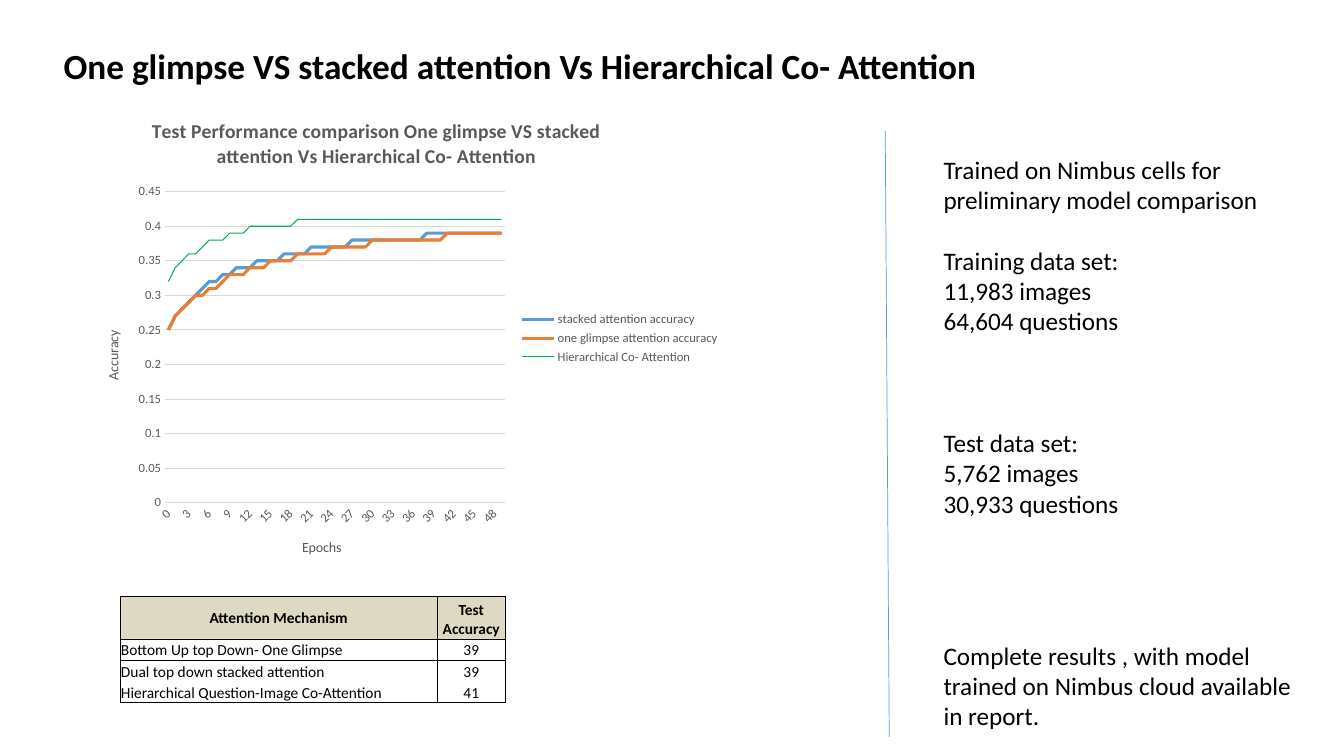
from dataclasses import dataclass

from lxml import etree
from pptx import Presentation
from pptx.chart.data import CategoryChartData
from pptx.dml.color import RGBColor
from pptx.enum.chart import XL_CHART_TYPE, XL_LEGEND_POSITION, XL_TICK_MARK
from pptx.enum.shapes import MSO_CONNECTOR
from pptx.enum.text import MSO_ANCHOR, PP_ALIGN
from pptx.oxml import parse_xml
from pptx.oxml.ns import nsdecls, qn
from pptx.util import Inches, Pt

LINE_CHART = XL_CHART_TYPE.LINE
LEGEND_RIGHT = XL_LEGEND_POSITION.RIGHT
NO_TICK = XL_TICK_MARK.NONE
STRAIGHT = MSO_CONNECTOR.STRAIGHT
BOTTOM, MIDDLE = MSO_ANCHOR.BOTTOM, MSO_ANCHOR.MIDDLE
LEFT, CENTER = PP_ALIGN.LEFT, PP_ALIGN.CENTER

FONT = "Calibri"
BLACK = RGBColor(0x00, 0x00, 0x00)
GRAY = RGBColor(0x59, 0x59, 0x59)
GRID = RGBColor(0xD9, 0xD9, 0xD9)
BLUE = RGBColor(0x5B, 0x9B, 0xD5)
ORANGE = RGBColor(0xED, 0x7D, 0x31)
GREEN = RGBColor(0x00, 0xB0, 0x50)
BEIGE = RGBColor(0xDD, 0xD9, 0xC3)
NO_TABLE_STYLE = "{2D5ABB26-0587-4C30-8999-92F81FD0307C}"
BLANK_LINE = 21.8


@dataclass
class AccuracyCurve:
    name: str
    color: RGBColor
    width: float
    runs: list[tuple[float, int]]

    def values(self) -> list[float]:
        return [value for value, epochs in self.runs for _ in range(epochs)]


@dataclass
class Note:
    text: str
    blank_lines_before: int = 0


CURVES = [
    AccuracyCurve("stacked attention accuracy", BLUE, 2.25, [
        (0.25, 1), (0.27, 1), (0.28, 1), (0.29, 1), (0.3, 1), (0.31, 1), (0.32, 2), (0.33, 2),
        (0.34, 3), (0.35, 4), (0.36, 4), (0.37, 6), (0.38, 11), (0.39, 12)]),
    AccuracyCurve("one glimpse attention accuracy", ORANGE, 2.25, [
        (0.25, 1), (0.27, 1), (0.28, 1), (0.29, 1), (0.3, 2), (0.31, 2), (0.32, 1), (0.33, 3),
        (0.34, 3), (0.35, 4), (0.36, 5), (0.37, 6), (0.38, 11), (0.39, 9)]),
    AccuracyCurve("Hierarchical Co- Attention", GREEN, 0.75, [
        (0.32, 1), (0.34, 1), (0.35, 1), (0.36, 2), (0.37, 1), (0.38, 3), (0.39, 3),
        (0.4, 7), (0.41, 31)]),
]
NOTES = [
    Note("Trained on Nimbus cells for preliminary model comparison"),
    Note("Training data set:", 1),
    Note("11,983 images"),
    Note("64,604 questions"),
    Note("Test data set:", 3),
    Note("5,762 images"),
    Note("30,933 questions"),
    Note("Complete results , with model trained on Nimbus cloud available in report.", 4),
]
RESULTS = [
    ("Bottom Up top Down- One Glimpse", "39"),
    ("Dual top down stacked attention", "39"),
    ("Hierarchical Question-Image Co-Attention", "41"),
]
TABLE_COLUMNS = [0.32, 3.15, 0.67, 0.22]
TABLE_ROWS = 7
ROW_HEIGHT = 0.21
FIRST_RESULT_ROW = 3


def style_font(font, size: float, color: RGBColor, bold: bool = False) -> None:
    font.name, font.size, font.bold = FONT, Pt(size), bold
    font.color.rgb = color


def add_heading(slide) -> None:
    heading = slide.shapes.title
    heading.left, heading.top = Inches(0.53), Inches(0.38)
    heading.width, heading.height = Inches(11.47), Inches(0.53)
    heading.text_frame.text = "One glimpse VS stacked attention Vs Hierarchical Co- Attention"
    heading.text_frame.vertical_anchor = BOTTOM
    paragraph = heading.text_frame.paragraphs[0]
    paragraph.alignment, paragraph.line_spacing = LEFT, 0.9
    style_font(paragraph.runs[0].font, 25.2, BLACK, True)


def add_divider(slide) -> None:
    divider = slide.shapes.add_connector(
        STRAIGHT, Inches(8.78), Inches(1.3), Inches(8.82), Inches(7.31))
    divider.line.color.rgb, divider.line.width = BLUE, Pt(0.5)
    etree.SubElement(divider._element.spPr, qn("a:effectLst"))


def add_notes_column(slide) -> None:
    column = slide.shapes.add_textbox(Inches(9.26), Inches(1.48), Inches(3.74), Inches(5.86))
    frame = column.text_frame
    frame.word_wrap = True
    frame.text = "\n".join(note.text for note in NOTES)
    for paragraph, note in zip(frame.paragraphs, NOTES):
        paragraph.space_before = Pt(note.blank_lines_before * BLANK_LINE)
        style_font(paragraph.runs[0].font, 18, BLACK)


def style_axis(axis, title: str) -> None:
    axis.major_tick_mark = axis.minor_tick_mark = NO_TICK
    style_font(axis.tick_labels.font, 9, GRAY)
    axis.axis_title.text_frame.text = title
    style_font(axis.axis_title.text_frame.paragraphs[0].runs[0].font, 10, GRAY)


def add_chart_title(chart) -> None:
    chart.has_title = True
    title = chart.chart_title
    title.text_frame.text = ("Test Performance comparison One glimpse VS stacked attention "
                             "Vs Hierarchical Co- Attention")
    style_font(title.text_frame.paragraphs[0].runs[0].font, 14, GRAY, True)
    for automatic_layout in title._element.findall(qn("c:layout")):
        title._element.remove(automatic_layout)
    title._element.find(qn("c:tx")).addnext(parse_xml(
        f'<c:layout {nsdecls("c")}><c:manualLayout><c:xMode val="edge"/><c:yMode val="edge"/>'
        '<c:x val="0.1"/><c:y val="0.03"/></c:manualLayout></c:layout>'))


def add_accuracy_chart(slide) -> None:
    data = CategoryChartData()
    data.categories = [str(epoch) for epoch in range(50)]
    for curve in CURVES:
        data.add_series(curve.name, curve.values())
    chart = slide.shapes.add_chart(
        LINE_CHART, Inches(0.83), Inches(0.99), Inches(6.41), Inches(4.73), data).chart
    style_font(chart.font, 10, BLACK)
    add_chart_title(chart)

    chart.has_legend = True
    chart.legend.position = LEGEND_RIGHT
    chart.legend.include_in_layout = False
    style_font(chart.legend.font, 9, GRAY)

    epochs, accuracy = chart.category_axis, chart.value_axis
    style_axis(epochs, "Epochs")
    epochs.format.line.color.rgb, epochs.format.line.width = GRID, Pt(0.75)
    epochs._element.find(qn("c:txPr")).find(qn("a:bodyPr")).set("rot", "-2700000")
    style_axis(accuracy, "Accuracy")
    accuracy.format.line.fill.background()
    accuracy.minimum_scale, accuracy.maximum_scale, accuracy.major_unit = 0, 0.45, 0.05
    gridlines = accuracy.major_gridlines.format.line
    gridlines.color.rgb, gridlines.width = GRID, Pt(0.75)

    chart.plots[0].vary_by_categories = False
    for series, curve in zip(chart.plots[0].series, CURVES):
        series.smooth = False
        series.format.line.color.rgb = curve.color
        series.format.line.width = Pt(curve.width)


def add_borders(cell, sides: str) -> None:
    properties = cell._tc.get_or_add_tcPr()
    for side in sides:
        properties.append(parse_xml(
            f'<a:ln{side} {nsdecls("a")} w="6350"><a:solidFill><a:srgbClr val="{BLACK}"/>'
            f'</a:solidFill></a:ln{side}>'))


def fill_cell(cell, text: str, alignment: PP_ALIGN, bold: bool = False) -> None:
    cell.text_frame.text = text
    paragraph = cell.text_frame.paragraphs[0]
    paragraph.alignment = alignment
    style_font(paragraph.runs[0].font, 11, BLACK, bold)


def add_results_table(slide) -> None:
    table = slide.shapes.add_table(
        TABLE_ROWS, len(TABLE_COLUMNS), Inches(0.87), Inches(5.71),
        Inches(sum(TABLE_COLUMNS)), Inches(TABLE_ROWS * ROW_HEIGHT)).table
    table.first_row = table.horz_banding = False
    table._tbl.tblPr.find(qn("a:tableStyleId")).text = NO_TABLE_STYLE
    for column, width in zip(table.columns, TABLE_COLUMNS):
        column.width = Inches(width)
    for row in table.rows:
        row.height = Inches(ROW_HEIGHT)
    for cell in table.iter_cells():
        cell.margin_left = cell.margin_right = cell.margin_top = Inches(0.01)
        cell.margin_bottom = 0
        cell.vertical_anchor = BOTTOM
        end = etree.SubElement(cell.text_frame.paragraphs[0]._p, qn("a:endParaRPr"))
        end.set("sz", "1100")

    for column, heading in enumerate(["Attention Mechanism", "Test Accuracy"], start=1):
        header = table.cell(1, column)
        header.merge(table.cell(2, column))
        fill_cell(header, heading, CENTER, True)
        for row in (1, 2):
            add_borders(table.cell(row, column), "LRTB")
        header.fill.solid()
        header.fill.fore_color.rgb = BEIGE
    table.cell(1, 1).vertical_anchor = MIDDLE

    last = len(RESULTS) - 1
    for index, result in enumerate(RESULTS):
        sides = "LR" + ("T" if index == 0 else "") + ("B" if index == last else "")
        for column, (text, alignment) in enumerate(zip(result, (LEFT, CENTER)), start=1):
            cell = table.cell(FIRST_RESULT_ROW + index, column)
            fill_cell(cell, text, alignment)
            add_borders(cell, sides)
            cell.fill.background()


def main() -> None:
    presentation = Presentation()
    presentation.slide_width, presentation.slide_height = Inches(13.33), Inches(7.5)
    slide = presentation.slides.add_slide(presentation.slide_layouts[5])
    add_heading(slide)
    add_divider(slide)
    add_notes_column(slide)
    add_accuracy_chart(slide)
    add_results_table(slide)
    presentation.save("out.pptx")


if __name__ == "__main__":
    main()
